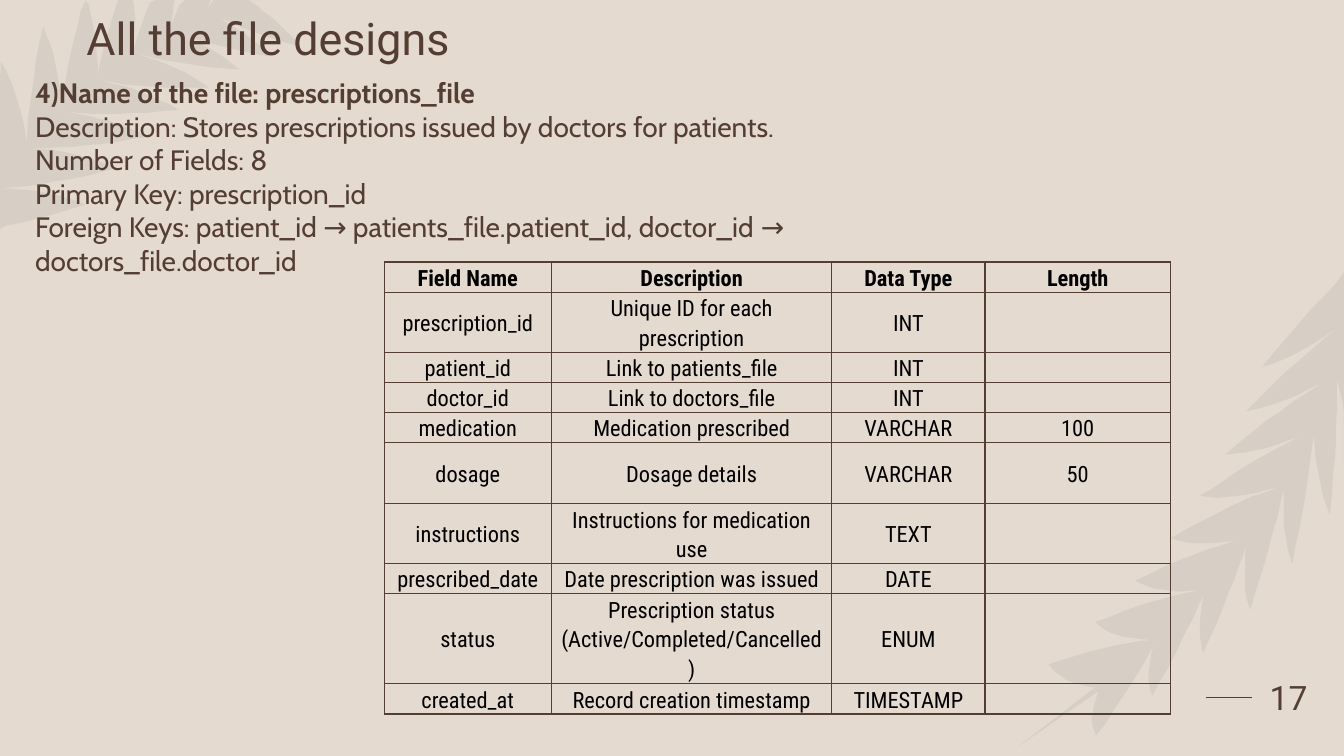
from itertools import product
from math import cos, radians, sin

from lxml.etree import SubElement
from pptx import Presentation
from pptx.dml.color import RGBColor
from pptx.enum.shapes import MSO_CONNECTOR
from pptx.enum.text import MSO_ANCHOR, PP_ALIGN
from pptx.oxml.ns import qn
from pptx.util import Pt

PX = 9144  # 100 px to the inch
WIDTH, HEIGHT = 1333, 750
BEIGE = RGBColor(0xE5, 0xDA, 0xCF)
BROWN = RGBColor(0x54, 0x3E, 0x34)
SLATE = RGBColor(0x5D, 0x6A, 0x76)
BLACK = RGBColor(0, 0, 0)

TITLE_FONT = {"name": "Roboto", "size": Pt(32)}
BODY_FONT = {"name": "Cabin", "size": Pt(20)}
NUMBER_FONT = {"name": "Roboto", "size": Pt(24)}
CELL_FONT = {"name": "Roboto Condensed", "size": Pt(16)}

FILE_FACTS = [
    "4)Name of the file: prescriptions_file",
    "Description: Stores prescriptions issued by doctors for patients.",
    "Number of Fields: 8\vPrimary Key: prescription_id\v"
    "Foreign Keys: patient_id → patients_file.patient_id, "
    "doctor_id → doctors_file.doctor_id",
]

FIELDS = [
    ("Field Name", "Description", "Data Type", "Length"),
    ("prescription_id", "Unique ID for each prescription", "INT", ""),
    ("patient_id", "Link to patients_file", "INT", ""),
    ("doctor_id", "Link to doctors_file", "INT", ""),
    ("medication", "Medication prescribed", "VARCHAR", "100"),
    ("dosage", "Dosage details", "VARCHAR", "50"),
    ("instructions", "Instructions for medication use", "TEXT", ""),
    ("prescribed_date", "Date prescription was issued", "DATE", ""),
    ("status", "Prescription status (Active/Completed/Cancelled)", "ENUM", ""),
    ("created_at", "Record creation timestamp", "TIMESTAMP", ""),
]
COL_WIDTHS = [166, 278, 152, 184]
ROW_HEIGHT, DOSAGE_ROW, DOSAGE_HEIGHT = 29, 5, 60

# A branch: points are complex numbers x + yj, leaf turns are degrees from
# the stem's heading, one turn for each side of the stem.
TOP_BRANCH = {"stem": (262 - 8j, 90 + 35j, -60 + 260j), "turns": (-130, 135),
              "first_leaf": 0.05, "length": 80, "growth": 30}
SIDE_BRANCH = {"stem": (1008 + 742j, 1310 + 540j, 1350 + 270j), "turns": (-140, 155),
               "first_leaf": 0.14, "length": 65, "growth": 60}
LEAVES, LEAF_STEP = 8, 0.11  # leaves on a side, share of the stem for each
LEAF_BULGE = 0.35
STEM_HALF_WIDTH = 3
CURVE_STEPS = 8


def curve_point(curve, t):
    """Return the point at t on a quadratic Bézier curve."""
    start, control, end = curve
    return (1 - t) ** 2 * start + 2 * t * (1 - t) * control + t * t * end


def stem_heading(stem, t):
    start, control, end = stem
    slope = (1 - t) * (control - start) + t * (end - control)
    return slope / abs(slope)


def unit(degrees):
    return complex(cos(radians(degrees)), sin(radians(degrees)))


def leaf_side(stem, turn, first_leaf, length, growth):
    """Trace the leaves on one side of the stem, from its start to its end."""
    outline = []
    side = 1j if turn > 0 else -1j
    for i in range(LEAVES):
        t = first_leaf + i * LEAF_STEP
        near, middle, far = (
            curve_point(stem, u) + side * STEM_HALF_WIDTH * stem_heading(stem, u)
            for u in (t, t + LEAF_STEP / 2, t + LEAF_STEP))
        heading = stem_heading(stem, t + LEAF_STEP / 2)
        tip = middle + heading * unit(turn) * (length + growth * t)
        out = (near, (near + tip) / 2 + LEAF_BULGE * (near - middle), tip)
        back = (tip, (tip + far) / 2 + LEAF_BULGE * (far - middle), far)
        for edge in (out, back):
            outline += [curve_point(edge, k / CURVE_STEPS) for k in range(CURVE_STEPS)]
    return outline


def clip_to_slide(point):
    return (min(max(round(point.real), 0), WIDTH),
            min(max(round(point.imag), 0), HEIGHT))


def add_branch(slide, stem, turns, **leaf_rule):
    """Draw one outline: up one side of the stem and down the other."""
    left, right = (leaf_side(stem, turn, **leaf_rule) for turn in turns)
    points = [clip_to_slide(p) for p in [stem[0], *left, *reversed(right)]]
    fb = slide.shapes.build_freeform(*points[0], scale=PX)
    fb.add_line_segments(points[1:], close=True)
    sp = fb.convert_to_shape()
    sp.shadow.inherit = False
    sp.line.fill.background()
    sp.fill.solid()
    sp.fill.fore_color.rgb = SLATE
    color = next(sp._element.spPr.iter(qn("a:srgbClr")))
    SubElement(color, qn("a:alpha"), val="10000")


def add_number_rule(slide, x1, x2, y):
    line = slide.shapes.add_connector(
        MSO_CONNECTOR.STRAIGHT, x1 * PX, y * PX, x2 * PX, y * PX)
    line.line.color.rgb = BROWN
    line.line.width = Pt(1.25)
    SubElement(line._element.spPr, qn("a:effectLst"))


def style_paragraph(p, font, color, bold=False, **layout):
    for name, value in layout.items():
        setattr(p, name, value)
    for r in p.runs:
        for name, value in font.items():
            setattr(r.font, name, value)
        r.font.bold = bold
        r.font.color.rgb = color


def add_text(slide, box, lines, font, anchor=MSO_ANCHOR.TOP, bold_first=False, **layout):
    tf = slide.shapes.add_textbox(*(n * PX for n in box)).text_frame
    tf.word_wrap = True
    tf.vertical_anchor = anchor
    for i, line in enumerate(lines):
        p = tf.paragraphs[0] if i == 0 else tf.add_paragraph()
        p.text = line
        style_paragraph(p, font, BROWN, bold_first and i == 0, **layout)


def add_borders(cell):
    tc_pr = cell._tc.get_or_add_tcPr()
    for side in ("lnL", "lnR", "lnT", "lnB"):
        ln = SubElement(tc_pr, qn(f"a:{side}"), w=str(Pt(1)))
        fill = SubElement(ln, qn("a:solidFill"))
        SubElement(fill, qn("a:srgbClr"), val=str(BROWN))


def fill_cell(cell, text, bold):
    add_borders(cell)
    cell.fill.background()
    cell.margin_left = cell.margin_right = 7 * PX
    cell.margin_top = cell.margin_bottom = 0
    cell.vertical_anchor = MSO_ANCHOR.MIDDLE
    p = cell.text_frame.paragraphs[0]
    p.text = text
    style_paragraph(p, CELL_FONT, BLACK, bold,
                    alignment=PP_ALIGN.CENTER, line_spacing=1.12)
    if not text:
        SubElement(p._p, qn("a:endParaRPr"), sz="1200")


def add_field_table(slide, x, y):
    heights = [ROW_HEIGHT] * len(FIELDS)
    heights[DOSAGE_ROW] = DOSAGE_HEIGHT
    table = slide.shapes.add_table(
        len(FIELDS), len(COL_WIDTHS), x * PX, y * PX,
        sum(COL_WIDTHS) * PX, sum(heights) * PX).table
    table.first_row = table.horz_banding = False
    for col, width in zip(table.columns, COL_WIDTHS):
        col.width = width * PX
    for row, height in zip(table.rows, heights):
        row.height = height * PX
    for i, j in product(range(len(FIELDS)), range(len(COL_WIDTHS))):
        fill_cell(table.cell(i, j), FIELDS[i][j], bold=i == 0)


def main():
    prs = Presentation()
    prs.slide_width, prs.slide_height = WIDTH * PX, HEIGHT * PX
    s = prs.slides.add_slide(prs.slide_layouts[6])
    s.background.fill.solid()
    s.background.fill.fore_color.rgb = BEIGE
    add_number_rule(s, 1196, 1242, 692)
    for branch in (TOP_BRANCH, SIDE_BRANCH):
        add_branch(s, **branch)
    add_text(s, (76, 0, 1133, 70), ["All the file designs"], TITLE_FONT,
             MSO_ANCHOR.BOTTOM, line_spacing=0.9)
    add_text(s, (25, 70, 998, 196), FILE_FACTS, BODY_FONT, bold_first=True)
    add_text(s, (1242, 643, 72, 98), ["17"], NUMBER_FONT, MSO_ANCHOR.MIDDLE,
             alignment=PP_ALIGN.CENTER, space_after=Pt(6))
    add_field_table(s, 381, 260)
    prs.save("out.pptx")


if __name__ == "__main__":
    main()
